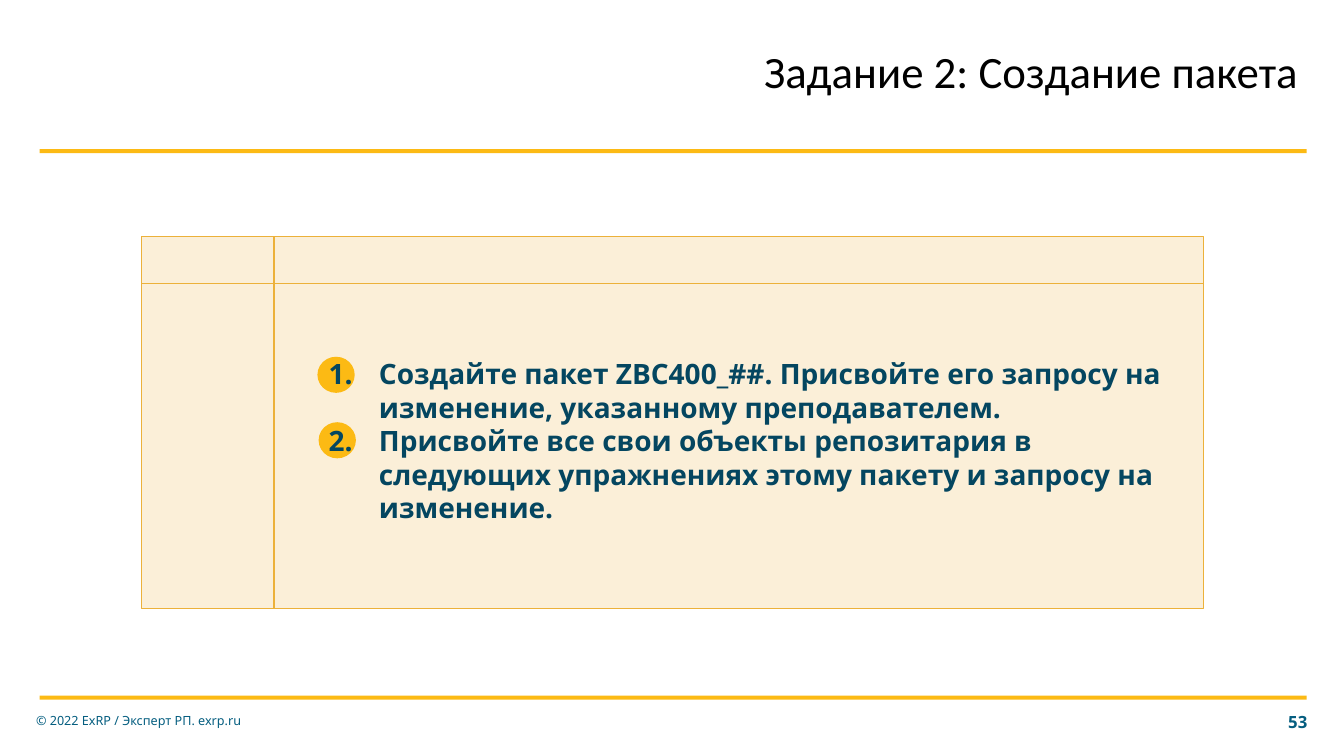
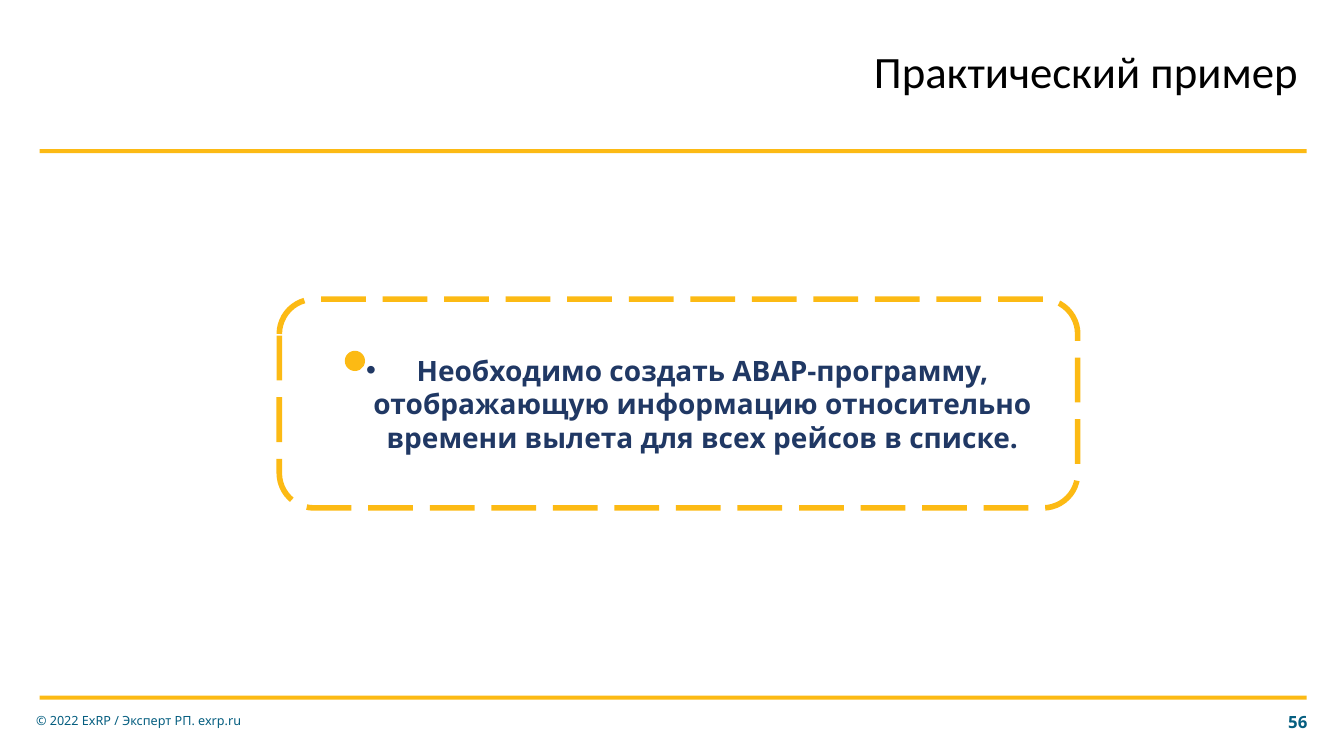
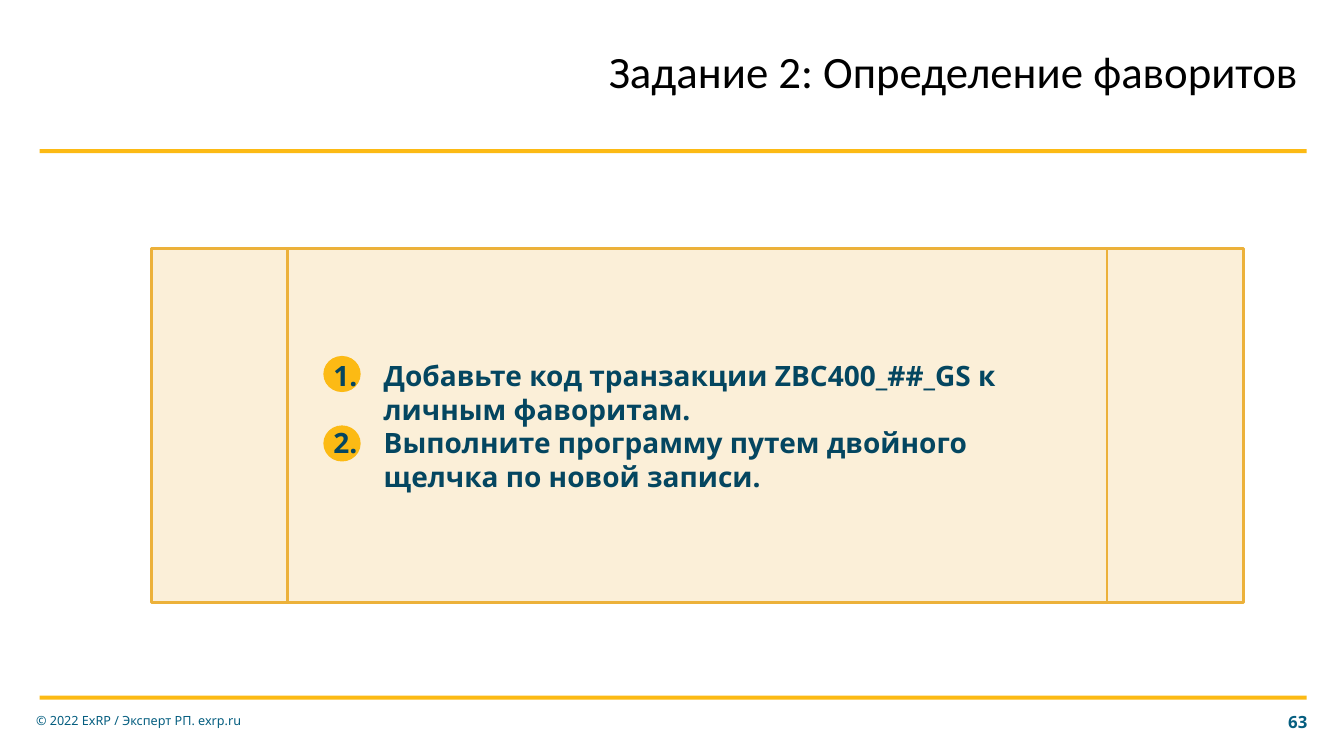
from dataclasses import dataclass
from typing import Optional

import pptx
import pptx.dml.color
import pptx.enum.dml
import pptx.enum.shapes
import pptx.enum.text
import pptx.oxml
import pptx.oxml.ns
import pptx.util
from pptx.util import Cm

Kind = pptx.enum.shapes.MSO_SHAPE
Align = pptx.enum.text.PP_ALIGN
Fit = pptx.enum.text.MSO_AUTO_SIZE


@dataclass(frozen=True)
class Theme:
    gold: str = "FCBA14"
    cream: str = "FBEFD8"
    edge: str = "ECB13A"
    teal: str = "055E80"
    deep: str = "044660"
    navy: str = "203864"
    black: str = "000000"
    head: str = "Calibri"
    font: str = "Noto Sans"
    title: int = 32
    body: int = 20
    page: int = 12
    note: int = 9


@dataclass(frozen=True)
class Box:
    """Left, top, width and height in centimetres."""
    left: float
    top: float
    width: float
    height: float

    def lengths(self) -> tuple:
        return Cm(self.left), Cm(self.top), Cm(self.width), Cm(self.height)


@dataclass(frozen=True)
class Panel:
    """A filled or outlined shape."""
    kind: Kind
    box: Box
    fill: Optional[str] = None
    line: Optional[str] = None
    weight: float = 0
    dashed: bool = False


@dataclass(frozen=True)
class Task:
    """A slide with numbered steps on a panel."""
    title: str
    width: float
    page: int
    panel: Panel
    dots: tuple
    text: Box
    steps: tuple


THEME = Theme()
RIGHT = 32.97
INSET = (0.25, 0, 0.13)
NUMBER = '<a:buFont {} typeface="+mj-lt"/>', '<a:buAutoNum {} type="arabicPeriod"/>'
BULLET = '<a:buFont {} typeface="Arial"/>', '<a:buChar {} char="•"/>'

TASKS = (
    Task("Задание 2: Создание пакета", 18.59, 53,
         Panel(Kind.FLOWCHART_INTERNAL_STORAGE, Box(3.56, 5.97, 26.77, 9.37),
               THEME.cream, THEME.edge, 0.75),
         ((8, 8.99), (8.03, 10.64)), Box(8.03, 8.84, 21.29, 4.52),
         ("Создайте пакет ZBC400_##. Присвойте его запросу на изменение, "
          "указанному преподавателем.",
          "Присвойте все свои объекты репозитария в следующих упражнениях "
          "этому пакету и запросу на изменение.")),
    Task("Задание 2: Определение фаворитов", 25.04, 63,
         Panel(Kind.FLOWCHART_PREDEFINED_PROCESS, Box(3.81, 6.27, 27.53, 8.92),
               THEME.cream, THEME.edge, 2),
         ((8.15, 8.97), (8.15, 10.72)), Box(8.15, 8.89, 18.82, 3.68),
         ("Добавьте код транзакции ZBC400_##_GS к личным фаворитам.",
          "Выполните программу путем двойного щелчка по новой записи.")),
)


def color(code: str) -> pptx.dml.color.RGBColor:
    return pptx.dml.color.RGBColor.from_string(code)


def draw(slide, panel: Panel) -> None:
    shape = slide.shapes.add_shape(panel.kind, *panel.box.lengths())
    shape.shadow.inherit = False
    if panel.fill:
        shape.fill.solid()
        shape.fill.fore_color.rgb = color(panel.fill)
    else:
        shape.fill.background()
    if panel.line:
        shape.line.color.rgb = color(panel.line)
        shape.line.width = pptx.util.Pt(panel.weight)
        if panel.dashed:
            shape.line.dash_style = pptx.enum.dml.MSO_LINE.LONG_DASH
    else:
        shape.line.fill.background()


def mark(para, parts: tuple) -> None:
    """Give a paragraph a hanging bullet or number."""
    props = para._p.get_or_add_pPr()
    props.set("marL", str(Cm(1.27)))
    props.set("indent", str(-Cm(1.27)))
    space = pptx.oxml.ns.nsdecls("a")
    for part in parts:
        props.append(pptx.oxml.parse_xml(part.format(space)))


def write(slide, box: Box, *lines: str, size: int = THEME.body,
          tint: str = THEME.deep, font: str = THEME.font, bold: bool = False,
          align: Align = Align.LEFT, inset: tuple = (0.25, 0.25, 0.13),
          top: float = 0.13, grow: bool = False, signs: tuple = (),
          pitch: Optional[float] = None) -> None:
    """Write lines as paragraphs; inset is left, right and bottom."""
    frame = slide.shapes.add_textbox(*box.lengths()).text_frame
    frame.word_wrap = True
    frame.auto_size = Fit.SHAPE_TO_FIT_TEXT if grow else Fit.NONE
    frame.vertical_anchor = pptx.enum.text.MSO_ANCHOR.MIDDLE
    frame.margin_left, frame.margin_right, frame.margin_bottom = map(Cm, inset)
    frame.margin_top = Cm(top)
    for spot, line in enumerate(lines):
        para = frame.add_paragraph() if spot else frame.paragraphs[0]
        para.alignment = align
        if pitch:
            para.line_spacing = pitch
        if signs:
            mark(para, signs)
        run = para.add_run()
        run.text = line
        run.font.size = pptx.util.Pt(size)
        run.font.name = font
        run.font.bold = bold
        run.font.color.rgb = color(tint)


def start(deck, title: str, width: float, page: int):
    """Add a slide with bands, footer and title."""
    slide = deck.slides.add_slide(deck.slide_layouts[6])
    for top in (17.53, 3.76):
        draw(slide, Panel(Kind.RECTANGLE, Box(1, top, 31.93, 0.1), THEME.gold))
    write(slide, Box(31.55, 17.68, 1.65, 1.02), str(page), size=THEME.page,
          tint=THEME.teal, bold=True, align=Align.RIGHT)
    write(slide, Box(0.66, 17.65, 7.24, 1.02),
          "© 2022 ExRP / Эксперт РП. exrp.ru", size=THEME.note, tint=THEME.teal)
    write(slide, Box(RIGHT - width, 1.24, width, 1.4), title, size=THEME.title,
          tint=THEME.black, font=THEME.head, align=Align.RIGHT,
          inset=(0, 0.25, 0.13), top=0, grow=True, pitch=0.9)
    return slide


def show(deck, task: Task) -> None:
    slide = start(deck, task.title, task.width, task.page)
    draw(slide, task.panel)
    for left, top in task.dots:
        draw(slide, Panel(Kind.OVAL, Box(left, top, 0.94, 0.91), THEME.gold))
    write(slide, task.text, *task.steps, bold=True, inset=INSET, grow=True,
          signs=NUMBER)


def sample(deck) -> None:
    slide = start(deck, "Практический пример", 14.17, 56)
    write(slide, Box(6.3, 8.76, 21.29, 2.82),
          "Необходимо создать ABAP-программу, отображающую информацию "
          "относительно времени вылета для всех рейсов в списке.",
          tint=THEME.navy, bold=True, align=Align.CENTER, inset=INSET,
          grow=True, signs=BULLET)
    draw(slide, Panel(Kind.ROUNDED_RECTANGLE, Box(7.04, 7.54, 20.12, 5.26),
                      line=THEME.gold, weight=4, dashed=True))
    draw(slide, Panel(Kind.OVAL, Box(8.69, 8.84, 0.51, 0.51), THEME.gold))


def main() -> None:
    deck = pptx.Presentation()
    deck.slide_width, deck.slide_height = Cm(33.87), Cm(19.05)
    first, last = TASKS
    show(deck, first)
    sample(deck)
    show(deck, last)
    deck.save("out.pptx")


if __name__ == "__main__":
    main()
